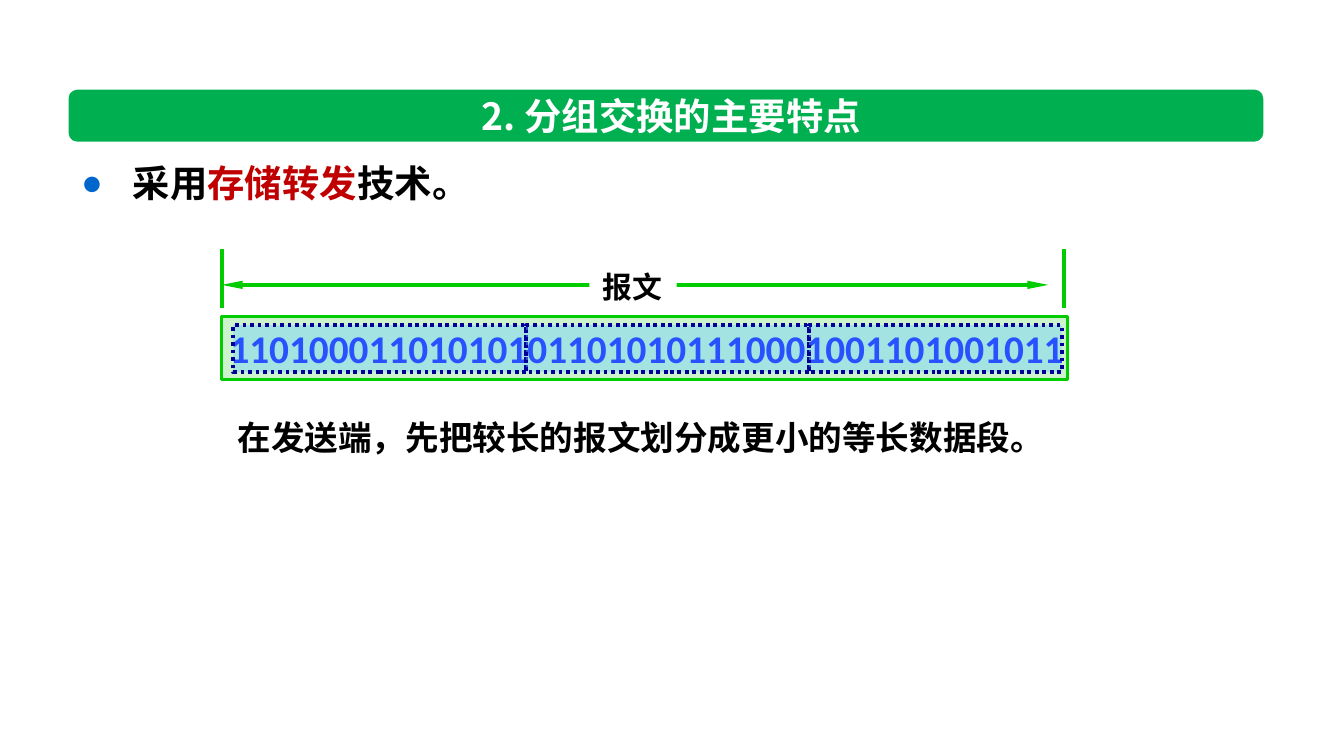
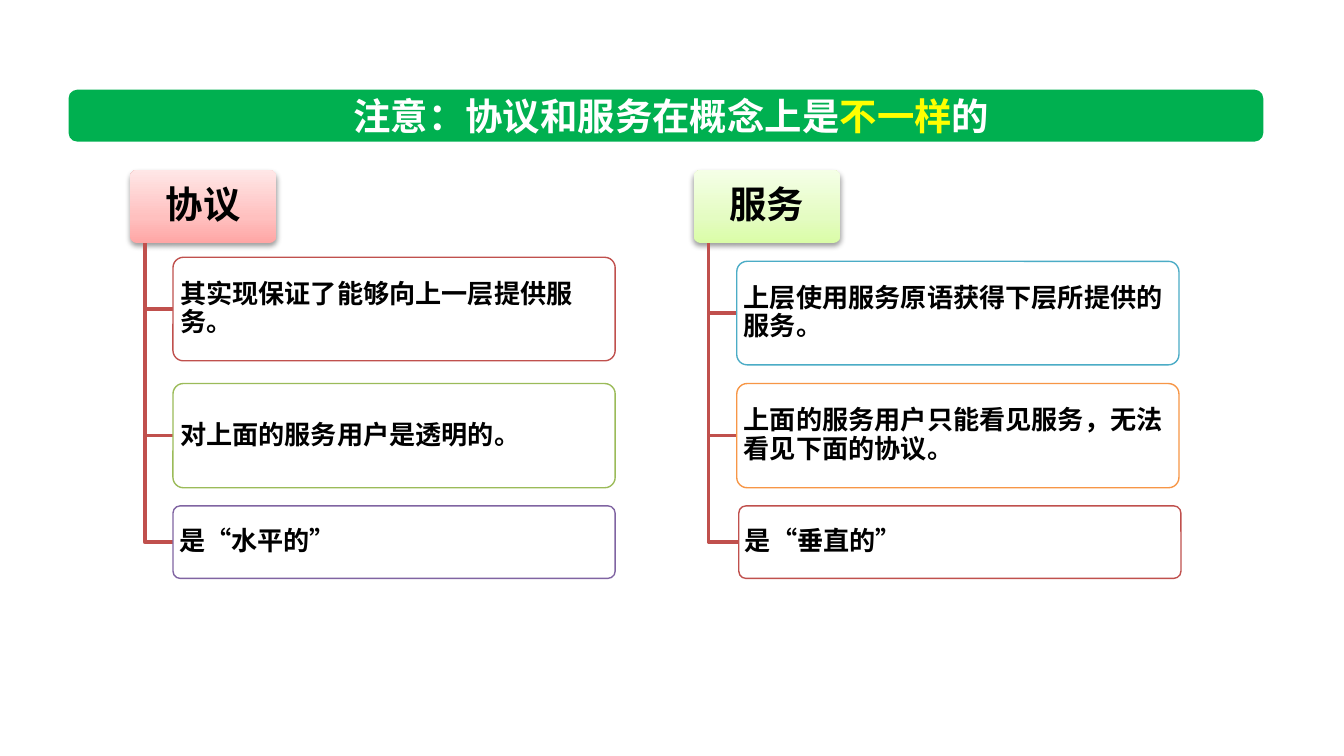
import itertools
from typing import NamedTuple

import lxml.etree
import pptx
import pptx.dml.color
import pptx.enum.dml
import pptx.enum.shapes
import pptx.enum.text
import pptx.oxml.ns
import pptx.util

# The grid is square: 100 columns across, each a tenth of an inch.
COLUMNS, ROWS = 100, 56.25
UNIT = pptx.util.Inches(0.1)
CJK, LATIN = "Noto Sans CJK SC", "Calibri"
COLORS = {
    "band": "00B050", "white": "FFFFFF", "black": "000000", "yellow": "FFFF00",
    "crimson": "C00000", "bullet": "0066CC", "green": "00CC00", "mint": "CDF3CD",
    "digits": "0000FF", "segment": "66CCFF", "navy": "000099", "red": "C0504D",
    "olive": "9BBB59", "purple": "8064A2", "teal": "4BACC6", "orange": "F79646",
}
SHAPE = pptx.enum.shapes.MSO_SHAPE
ALIGN = pptx.enum.text.PP_ALIGN
ANCHOR = pptx.enum.text.MSO_ANCHOR


class Area(NamedTuple):
    left: float
    top: float
    width: float
    height: float


class Run(NamedTuple):
    text: str
    color: str = "black"


class Leaf(NamedTuple):
    text: str
    outline: str
    top: float
    height: float
    shift: float = 0


class Branch(NamedTuple):
    concept: str
    left: float
    gradient: tuple[str, str, str]
    leaves: tuple[Leaf, ...]


BAND = Area(5.1, 6.67, 88.9, 3.87)
TITLE = Area(13.7, 6.67, 72.5, 3.87)
MESSAGE = Area(16.5, 23.55, 62.9, 4.7)
SEGMENT_EDGES = (17.35, 39.15, 60.2, 79)
BRANCHES = (
    Branch("协议", 9.67, ("FFA6A5", "FFC0BF", "FFE7E7"), (
        Leaf("其实现保证了能够向上一层提供服务。", "red", 19.15, 7.7),
        Leaf("对上面的服务用户是透明的。", "olive", 28.54, 7.75),
        Leaf("是“水平的”", "purple", 37.64, 5.4),
    )),
    Branch("服务", 51.62, ("DAFDA7", "E4FCC2", "F5FFE7"), (
        Leaf("上层使用服务原语获得下层所提供的服务。", "teal", 19.45, 7.7),
        Leaf("上面的服务用户只能看见服务，无法看见下面的协议。", "orange", 28.54, 7.75),
        Leaf("是“垂直的”", "red", 37.64, 5.4, shift=0.15),
    )),
)


def grid(cells: float) -> int:
    return round(cells * UNIT)


def rgb(name: str) -> pptx.dml.color.RGBColor:
    return pptx.dml.color.RGBColor.from_string(COLORS[name])


def element(parent, tag: str, **attributes: str):
    return lxml.etree.SubElement(parent, pptx.oxml.ns.qn(tag), attributes)


def style_line(line, color: str, width: float) -> None:
    line.color.rgb = rgb(color)
    line.width = pptx.util.Pt(width)


def add_box(slide, kind, area: Area, fill: str, outline: str = "",
            width: float = 1, opacity: int = 100, corner: float = 0):
    box = slide.shapes.add_shape(kind, *map(grid, area))
    box.shadow.inherit = False
    if corner:
        box.adjustments[0] = corner
    box.fill.solid()
    box.fill.fore_color.rgb = rgb(fill)
    if opacity < 100:
        color = box._element.spPr.find(".//" + pptx.oxml.ns.qn("a:srgbClr"))
        element(color, "a:alpha", val=str(opacity * 1000))
    if outline:
        style_line(box.line, outline, width)
    else:
        box.line.fill.background()
    return box


def add_line(slide, start: tuple[float, float], end: tuple[float, float],
             arrows: bool = False) -> None:
    line = slide.shapes.add_connector(
        pptx.enum.shapes.MSO_CONNECTOR.STRAIGHT, *map(grid, start + end))
    style_line(line.line, "green", 2.25)
    if arrows:
        outline = line.line._get_or_add_ln()
        for tag in ("a:headEnd", "a:tailEnd"):
            element(outline, tag, type="triangle", w="sm", len="lg")
    element(line._element.spPr, "a:effectLst")


def write(shape, runs: tuple[Run, ...], size: float, align=ALIGN.LEFT,
          anchor=ANCHOR.TOP, font: str = CJK, wrap: bool = True):
    """Fill the shape's single paragraph run by run and return it."""
    frame = shape.text_frame
    frame.word_wrap = wrap
    frame.vertical_anchor = anchor
    paragraph = frame.paragraphs[0]
    paragraph.alignment = align
    for part in runs:
        run = paragraph.add_run()
        run.text = part.text
        run.font.size = pptx.util.Pt(size)
        run.font.bold = True
        run.font.color.rgb = rgb(part.color)
        run.font.name = font
        element(run._r.get_or_add_rPr(), "a:ea", typeface=font)
    return paragraph


def add_text(slide, area: Area, runs: tuple[Run, ...], size: float, **options):
    return write(slide.shapes.add_textbox(*map(grid, area)), runs, size, **options)


def write_node(shape, text: str, size: float, inset: float, align) -> None:
    """Write a node's label with tight margins and no hanging punctuation."""
    paragraph = write(shape, (Run(text),), size, align, ANCHOR.MIDDLE)
    paragraph.line_spacing = 0.9
    paragraph.space_after = pptx.util.Pt(round(size * 0.35))
    paragraph._p.get_or_add_pPr().set("hangingPunct", "0")
    frame = shape.text_frame
    frame.margin_left = frame.margin_right = grid(inset)
    frame.margin_top = frame.margin_bottom = grid(inset - 0.1)


def add_titled_slide(deck, *title: Run):
    slide = deck.slides.add_slide(deck.slide_layouts[6])
    add_box(slide, SHAPE.ROUNDED_RECTANGLE, BAND, "band", corner=0.17)
    add_text(slide, TITLE, title, 20, align=ALIGN.CENTER, anchor=ANCHOR.MIDDLE)
    return slide


def add_bullet(paragraph, indent: float) -> None:
    properties = paragraph._p.get_or_add_pPr()
    properties.set("marL", str(grid(indent)))
    properties.set("indent", str(-grid(indent)))
    element(element(properties, "a:buClr"), "a:srgbClr", val=COLORS["bullet"])
    element(properties, "a:buSzPct", val="90000")
    element(properties, "a:buFont", typeface=LATIN)
    element(properties, "a:buChar", char="●")


def build_packet_slide(deck) -> None:
    slide = add_titled_slide(deck, Run("2. 分组交换的主要特点", "white"))
    feature = add_text(
        slide, Area(5.1, 10.6, 88.9, 37.1),
        (Run("采用"), Run("存储转发", "crimson"), Run("技术。")), 20)
    add_bullet(feature, 3.8)
    feature.line_spacing = pptx.util.Pt(30)

    add_line(slide, (MESSAGE.left, 21.2), (78, 21.2), arrows=True)
    label = add_box(slide, SHAPE.RECTANGLE, Area(43.85, 19.5, 6.5, 3.7), "white")
    write(label, (Run("报文"),), 16, wrap=False)
    add_box(slide, SHAPE.RECTANGLE, MESSAGE, "mint", "green", 1.5)
    for x in (MESSAGE.left, 79.2):
        add_line(slide, (x, 18.55), (x, 22.9))

    add_text(slide, Area(16.1, 23.65, 64.6, 4.5),
             (Run("110100011010101011010101110001001101001011", "digits"),),
             21, font=LATIN)
    for left, right in itertools.pairwise(SEGMENT_EDGES):
        segment = add_box(slide, SHAPE.RECTANGLE, Area(left, 24.2, right - left, 3.5),
                          "segment", "navy", 2, opacity=40)
        segment.line.dash_style = pptx.enum.dml.MSO_LINE.ROUND_DOT
    add_text(slide, Area(MESSAGE.left, 30.5, MESSAGE.width, 4),
             (Run("在发送端，先把较长的报文划分成更小的等长数据段。 "),),
             18, align=ALIGN.CENTER)


def shade(box, gradient: tuple[str, str, str]) -> None:
    """Give a concept box its upward gradient and soft shadow."""
    box.fill.gradient()
    box.fill.gradient_angle = 90
    stops = box._element.spPr.find(".//" + pptx.oxml.ns.qn("a:gsLst"))
    for stop in list(stops):
        stops.remove(stop)
    for position, color in zip((0, 35, 100), gradient):
        stop = element(stops, "a:gs", pos=str(position * 1000))
        element(stop, "a:srgbClr", val=color)
    effects = box._element.spPr.find(pptx.oxml.ns.qn("a:effectLst"))
    shadow = element(effects, "a:outerShdw", blurRad=str(pptx.util.Pt(3.1)),
                     dist=str(pptx.util.Pt(1.6)), dir="5400000", rotWithShape="0")
    tint = element(shadow, "a:srgbClr", val=COLORS["black"])
    element(tint, "a:alpha", val="38000")


def add_elbow(slide, x: float, top: float, end_x: float, end_y: float) -> None:
    builder = slide.shapes.build_freeform(grid(x), grid(top))
    builder.add_line_segments(
        [(grid(x), grid(end_y)), (grid(end_x), grid(end_y))], close=False)
    elbow = builder.convert_to_shape()
    elbow.shadow.inherit = False
    elbow.fill.background()
    style_line(elbow.line, "red", 2)


def add_branch(slide, branch: Branch) -> None:
    head = Area(branch.left, 12.65, 10.9, 5.45)
    concept = add_box(slide, SHAPE.ROUNDED_RECTANGLE, head, "white", corner=0.1)
    shade(concept, branch.gradient)
    write_node(concept, branch.concept, 20, 0.4, ALIGN.CENTER)
    for leaf in branch.leaves:
        left = head.left + 3.2 + leaf.shift
        add_elbow(slide, head.left + 1.1, head.top + head.height,
                  left, leaf.top + leaf.height / 2)
        statement = add_box(
            slide, SHAPE.ROUNDED_RECTANGLE, Area(left, leaf.top, 32.9, leaf.height),
            "white", leaf.outline, 0.75, opacity=90, corner=0.1)
        write_node(statement, leaf.text, 14, 0.3, ALIGN.LEFT)


def build_concept_slide(deck) -> None:
    slide = add_titled_slide(
        deck, Run("注意：协议和服务在概念上是", "white"),
        Run("不一样", "yellow"), Run("的", "white"))
    for branch in BRANCHES:
        add_branch(slide, branch)


def main() -> None:
    deck = pptx.Presentation()
    deck.slide_width, deck.slide_height = grid(COLUMNS), grid(ROWS)
    build_packet_slide(deck)
    build_concept_slide(deck)
    deck.save("out.pptx")


if __name__ == "__main__":
    main()
